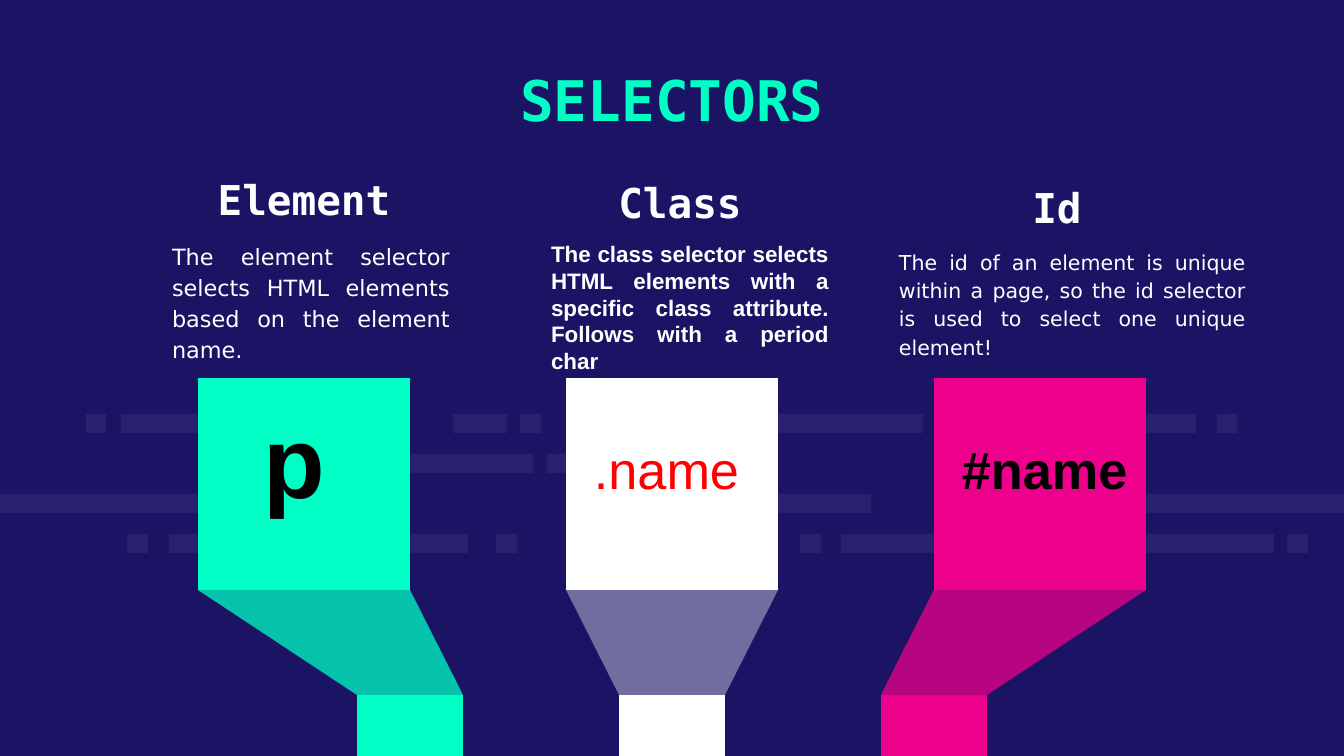
from typing import NamedTuple

from lxml.etree import SubElement
from pptx import Presentation
from pptx.dml.color import RGBColor
from pptx.enum.text import MSO_ANCHOR as Anchor, PP_ALIGN as Align
from pptx.oxml.ns import qn
from pptx.util import Pt

PX = 914400 / 134.4
WIDTH, HEIGHT = 1344, 756
NAVY, WHITE, MINT, PINK = "1B1464", "FFFFFF", "00FFC5", "EC008C"
MONO, SANS, ARIAL = "DejaVu Sans Mono", "DejaVu Sans", "Arial"
SQUARE_TOP, SQUARE_SIZE = 378, 212
SLANT_TOP, STEM_TOP, STEM_WIDTH = SQUARE_TOP + SQUARE_SIZE, 695, 106
BAR_TOP, BAR_STEP, BAR_HEIGHT = 414, 40, 19
BAR_ROWS = [
    [(86, 20), (121, 196), (453, 54), (520, 21), (754, 169), (1027, 169), (1217, 20)],
    [(402, 131), (547, 54)],
    [(0, 199), (672, 199), (1145, 199)],
    [(127, 21), (169, 299), (496, 21), (800, 21), (841, 433), (1287, 21)],
]


class Layer(NamedTuple):
    color: str
    opacity: int


class Funnel(NamedTuple):
    color: str
    slant: list[Layer]


class Label(NamedTuple):
    text: str
    box: tuple[int, int, int, int]
    size: int
    font: str
    color: str = WHITE
    bold: bool = False
    align: Align = Align.LEFT
    anchor: Anchor = Anchor.TOP
    top_inset: int = 7
    bottom_inset: int = 7
    spacing: float = 1.0


FUNNELS = [
    Funnel(MINT, [Layer(MINT, 100), Layer(NAVY, 25)]),
    Funnel(WHITE, [Layer(WHITE, 38)]),
    Funnel(PINK, [Layer(PINK, 100), Layer(NAVY, 25)]),
]


def heading(text: str, left: int, top: int) -> Label:
    """Describe a column heading."""
    return Label(text, (left, top, 304, 63), 22, MONO, WHITE, True,
                 Align.CENTER, Anchor.BOTTOM, 13, 0)


def description(text: str, box: tuple[int, int, int, int], size: int) -> Label:
    """Describe a justified column description."""
    return Label(text, box, size, SANS, align=Align.JUSTIFY,
                 top_inset=0, bottom_inset=13, spacing=1.15)


LABELS = [
    Label("SELECTORS", (188, 50, 968, 98), 30, MONO, MINT, True,
          Align.CENTER, Anchor.MIDDLE, 13, 13),
    heading("Element", 152, 161),
    heading("Class", 528, 164),
    heading("Id", 905, 169),
    description("The element selector selects HTML elements based on the element name.",
                (159, 239, 304, 63), 12),
    Label("The class selector selects HTML elements with a specific class attribute. "
          "Follows with a period char", (538, 233, 304, 149), 12, ARIAL, bold=True,
          align=Align.JUSTIFY),
    description("The id of an element is unique within a page, so the id selector "
                "is used to select one unique element!", (886, 246, 373, 63), 11),
    Label("p", (251, 391, 153, 136), 54, ARIAL, "000000", True),
    Label(".name", (581, 430, 211, 77), 28, ARIAL, "FF0000"),
    Label("#name", (949, 430, 214, 77), 28, ARIAL, "000000", True),
]


def emu(pixels: int) -> int:
    """Convert px to EMU."""
    return round(pixels * PX)


def rgb(color: str) -> RGBColor:
    """Convert a hex string to a colour."""
    return RGBColor.from_string(color)


def draw_polygon(slide, points: list[tuple[int, int]], layer: Layer) -> None:
    """Draw a closed outline with a plain or translucent fill."""
    builder = slide.shapes.build_freeform(*points[0], scale=PX)
    builder.add_line_segments(points[1:], close=True)
    shape = builder.convert_to_shape()
    shape.shadow.inherit = False
    shape.line.fill.background()
    shape.fill.solid()
    shape.fill.fore_color.rgb = rgb(layer.color)
    if layer.opacity < 100:
        color = shape.fill._xPr.find(f".//{qn('a:srgbClr')}")
        SubElement(color, qn("a:alpha"), val=str(layer.opacity * 1000))


def draw_rectangle(slide, left: int, top: int, width: int, height: int, layer: Layer) -> None:
    """Draw a rectangle."""
    right, bottom = left + width, top + height
    draw_polygon(slide, [(left, top), (right, top), (right, bottom), (left, bottom)], layer)


def draw_funnel(slide, index: int, funnel: Funnel) -> None:
    """Draw a square narrowing through a slant into a stem."""
    square_left, stem_left = 198 + 368 * index, 357 + 262 * index
    solid = Layer(funnel.color, 100)
    slant = [(stem_left, STEM_TOP), (square_left, SLANT_TOP),
             (square_left + SQUARE_SIZE, SLANT_TOP), (stem_left + STEM_WIDTH, STEM_TOP)]
    for layer in funnel.slant:
        draw_polygon(slide, slant, layer)
    draw_rectangle(slide, stem_left, STEM_TOP, STEM_WIDTH, HEIGHT - STEM_TOP, solid)
    draw_rectangle(slide, square_left, SQUARE_TOP, SQUARE_SIZE, SQUARE_SIZE, solid)


def draw_label(slide, label: Label) -> None:
    """Draw a text box."""
    shape = slide.shapes.add_textbox(*map(emu, label.box))
    frame = shape.text_frame
    frame.word_wrap = True
    frame.vertical_anchor = label.anchor
    frame.margin_left = frame.margin_right = emu(13)
    frame.margin_top, frame.margin_bottom = emu(label.top_inset), emu(label.bottom_inset)
    frame.text = label.text
    paragraph = frame.paragraphs[0]
    paragraph.alignment = label.align
    paragraph.line_spacing = label.spacing
    font = paragraph.runs[0].font
    font.name, font.size, font.bold = label.font, Pt(label.size), label.bold
    font.color.rgb = rgb(label.color)


def main() -> None:
    """Build and save the selectors slide."""
    presentation = Presentation()
    presentation.slide_width, presentation.slide_height = emu(WIDTH), emu(HEIGHT)
    slide = presentation.slides.add_slide(presentation.slide_layouts[6])
    slide.background.fill.solid()
    slide.background.fill.fore_color.rgb = rgb(NAVY)
    for row, bars in enumerate(BAR_ROWS):
        for left, width in bars:
            draw_rectangle(slide, left, BAR_TOP + row * BAR_STEP, width, BAR_HEIGHT,
                           Layer(WHITE, 6))
    for index, funnel in enumerate(FUNNELS):
        draw_funnel(slide, index, funnel)
    for label in LABELS:
        draw_label(slide, label)
    presentation.save("out.pptx")


if __name__ == "__main__":
    main()
